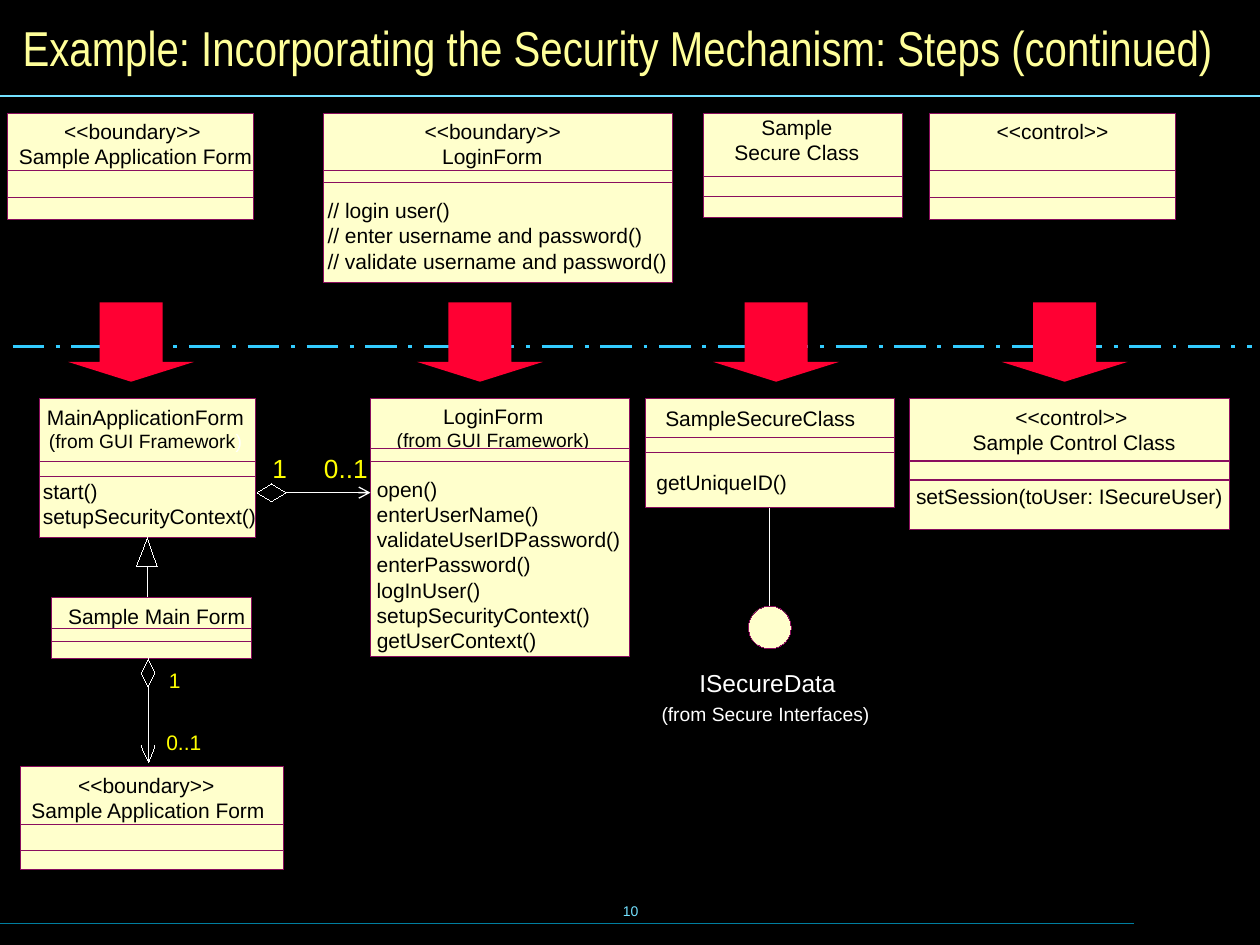
from lxml import etree
from pptx import Presentation
from pptx.dml.color import RGBColor
from pptx.enum.dml import MSO_LINE
from pptx.enum.shapes import MSO_CONNECTOR, MSO_SHAPE
from pptx.enum.text import MSO_ANCHOR, MSO_AUTO_SIZE, PP_ALIGN
from pptx.oxml.ns import qn
from pptx.util import Inches, Pt

STRAIGHT = MSO_CONNECTOR.STRAIGHT
RECT, OVAL, DOWN = MSO_SHAPE.RECTANGLE, MSO_SHAPE.OVAL, MSO_SHAPE.DOWN_ARROW
DASH = MSO_LINE.LONG_DASH_DOT
LEFT, CENTER = PP_ALIGN.LEFT, PP_ALIGN.CENTER
MIDDLE = MSO_ANCHOR.MIDDLE
FIT, FIXED = MSO_AUTO_SIZE.SHAPE_TO_FIT_TEXT, MSO_AUTO_SIZE.NONE

CREAM, PLUM, RED = "FFFFCC", "8A0E5E", "FF0033"
BLACK, WHITE, YELLOW = "000000", "FFFFFF", "FFFF00"
STEP, SLACK, HAIR = 0.2, 0.04, 0.01


def paint(target, color):
    if hasattr(target, "solid"):
        target.solid()
        target = target.fore_color
    else:
        target = target.color
    target.rgb = RGBColor.from_string(color)


def style(frame, size, color, align=LEFT, font="Arial"):
    for para in frame.paragraphs:
        para.alignment = align
        for run in para.runs:
            run.font.name = font
            run.font.size = Pt(size)
            paint(run.font, color)


def label(slide, x, y, w, text, size=12, color=BLACK, align=LEFT, h=STEP):
    left = x - SLACK / 2 if align == CENTER else x
    area = slide.shapes.add_textbox(
        Inches(left), Inches(y), Inches(w + SLACK), Inches(h))
    frame = area.text_frame
    frame.margin_left = frame.margin_right = 0
    frame.margin_top = frame.margin_bottom = 0
    frame.word_wrap = False
    frame.auto_size = FIT
    frame.text = text
    style(frame, size, color, align)
    return frame


def solid(slide, kind, x, y, w, h, fill=CREAM, edge=PLUM):
    shape = slide.shapes.add_shape(kind, Inches(x), Inches(y), Inches(w), Inches(h))
    shape.shadow.inherit = False
    paint(shape.fill, fill)
    if edge:
        paint(shape.line, edge)
        shape.line.width = Pt(HAIR)
    else:
        shape.line.fill.background()
    return shape


def line(slide, x1, y1, x2, y2, color=WHITE, width=0.75, dash=None, arrow=False):
    link = slide.shapes.add_connector(
        STRAIGHT, Inches(x1), Inches(y1), Inches(x2), Inches(y2))
    paint(link.line, color)
    link.line.width = Pt(width)
    if dash:
        link.line.dash_style = dash
    props = link._element.spPr
    if arrow:
        etree.SubElement(props.find(qn("a:ln")), qn("a:tailEnd"), type="arrow")
    etree.SubElement(props, qn("a:effectLst"))
    return link


def outline(slide, points, fill=None):
    spots = [(Inches(x), Inches(y)) for x, y in points]
    build = slide.shapes.build_freeform(*spots[0])
    build.add_line_segments(spots[1:], close=True)
    shape = build.convert_to_shape()
    shape.shadow.inherit = False
    if fill:
        paint(shape.fill, fill)
    else:
        shape.fill.background()
    paint(shape.line, WHITE)
    shape.line.width = Pt(HAIR)


def diamond(slide, x, y, w, h, fill=None):
    outline(slide, [(x, y + h / 2), (x + w / 2, y + h),
                    (x + w, y + h / 2), (x + w / 2, y)], fill)


def box(slide, x, y, w, h, heads, cuts=(), rows=(), start=(0, 0)):
    frame = solid(slide, RECT, x, y, w, h)
    titles = [label(slide, *head) for head in heads]
    for top, high in cuts:
        solid(slide, RECT, x, top, w, high)
    left, top = start
    for i, (wide, text) in enumerate(rows):
        label(slide, left, top + i * STEP, wide, text)
    return frame, titles


def draw_top(slide):
    box(slide, 0.06, 0.9, 1.95, 0.84,
        [(0.51, 0.94, 1.09, "<<boundary>>"),
         (0.15, 1.14, 1.86, "Sample Application Form")], [(1.35, 0.22)])
    box(slide, 2.57, 0.9, 2.77, 1.34,
        [(3.37, 0.94, 1.09, "<<boundary>>"), (3.51, 1.14, 0.8, "LoginForm")],
        [(1.35, 0.89), (1.45, 0.79)],
        [(0.97, "// login user()"), (2.5, "// enter username and password()"),
         (2.7, "// validate username and password()")], (2.6, 1.57))
    box(slide, 5.58, 0.9, 1.58, 0.83,
        [(5.83, 0.91, 0.99, "Sample\nSecure Class", 12, BLACK, CENTER, 0.4)],
        [(1.4, 0.33), (1.56, 0.17)])
    box(slide, 7.38, 0.9, 1.95, 0.84,
        [(7.91, 0.94, 0.89, "<<control>>")], [(1.35, 0.22)])


def draw_main(slide):
    _, (name,) = box(
        slide, 0.31, 3.16, 1.72, 1.11,
        [(0.37, 3.21, 1.57, "MainApplicationForm\n(from GUI Framework",
          12, BLACK, CENTER, 0.38)],
        [(3.66, 0.61), (3.78, 0.49)],
        [(0.44, "start()"), (1.7, "setupSecurityContext()")], (0.34, 3.8))
    para = name.paragraphs[1]
    end = para.add_run()
    end.text = ")"
    end.font.name = "Arial"
    paint(end.font, WHITE)
    for run in para.runs:
        run.font.size = Pt(11)

    _, (name,) = box(
        slide, 2.94, 3.16, 2.06, 2.04,
        [(3.15, 3.2, 1.53, "LoginForm\v(from GUI Framework)",
          12, BLACK, CENTER, 0.38)],
        [(3.56, 1.65), (3.66, 1.55)],
        [(0.48, "open()"), (1.29, "enterUserName()"),
         (1.94, "validateUserIDPassword()"), (1.22, "enterPassword()"),
         (0.83, "logInUser()"), (1.7, "setupSecurityContext()"),
         (1.27, "getUserContext()")], (2.99, 3.78))
    name.paragraphs[0].runs[1].font.size = Pt(11)

    secure, _ = box(slide, 5.12, 3.16, 1.98, 0.87,
                    [(5.28, 3.22, 1.51, "SampleSecureClass")],
                    [(3.47, 0.56), (3.59, 0.44)],
                    [(1.04, "getUniqueID()")], (5.21, 3.73))
    ball = solid(slide, OVAL, 5.94, 4.81, 0.34, 0.34)
    stem = line(slide, 6.11, 4.03, 6.11, 4.81)
    stem.begin_connect(secure, 2)
    stem.end_connect(ball, 0)
    label(slide, 5.55, 5.3, 1.08, "ISecureData", 14, WHITE, h=0.23)
    label(slide, 5.25, 5.57, 1.65, "(from Secure Interfaces)", 11, WHITE, h=0.18)

    box(slide, 7.22, 3.16, 2.54, 1.04,
        [(8.06, 3.21, 0.89, "<<control>>"),
         (7.72, 3.41, 1.61, "Sample Control Class")], (),
        [(2.44, "setSession(toUser: ISecureUser)")], (7.27, 3.84))
    for y in (3.66, 3.81):
        line(slide, 7.22, y, 9.76, y, PLUM)


def draw_links(slide):
    diamond(slide, 2.04, 3.84, 0.23, 0.14, BLACK)
    line(slide, 2.27, 3.91, 2.94, 3.91, arrow=True)
    label(slide, 2.16, 3.59, 0.12, "1", 15, YELLOW, CENTER, 0.25)
    label(slide, 2.57, 3.59, 0.35, "0..1", 15, YELLOW, CENTER, 0.25)

    outline(slide, [(1.17, 4.27), (1.25, 4.5), (1.08, 4.5)])
    line(slide, 1.17, 4.5, 1.17, 4.74)
    box(slide, 0.41, 4.74, 1.59, 0.49,
        [(0.54, 4.79, 1.41, "Sample Main Form")], [(4.99, 0.23), (5.09, 0.14)])

    diamond(slide, 1.12, 5.23, 0.11, 0.22)
    line(slide, 1.18, 5.45, 1.18, 6.05, width=HAIR)
    for x in (1.12, 1.23):
        line(slide, 1.18, 6.05, x, 5.92, width=HAIR)
    label(slide, 1.34, 5.3, 0.09, "1", color=YELLOW)
    label(slide, 1.32, 5.79, 0.28, "0..1", color=YELLOW)
    box(slide, 0.16, 6.08, 2.09, 0.82,
        [(0.62, 6.13, 1.09, "<<boundary>>"),
         (0.25, 6.33, 1.86, "Sample Application Form")], [(6.54, 0.21)])


def draw_title(slide):
    title = slide.shapes.title
    title.left, title.top = Inches(0.08), Inches(0.08)
    title.width, title.height = Inches(9.84), Inches(0.58)
    frame = title.text_frame
    frame.text = "Example: Incorporating the Security Mechanism: Steps (continued)"
    frame.vertical_anchor = MIDDLE
    frame.word_wrap = True
    frame.auto_size = FIXED
    style(frame, 28, "FFFF99", font="Arial Narrow")


def main():
    deck = Presentation()
    deck.slide_width, deck.slide_height = Inches(10), Inches(7.5)
    slide = deck.slides.add_slide(deck.slide_layouts[5])
    paint(slide.background.fill, BLACK)
    draw_title(slide)
    line(slide, 0, 0.76, 10, 0.76, "73E1FF", 1)
    line(slide, 0, 7.33, 9, 7.33, "007E9F", 1)
    page = label(slide, 3.42, 6.98, 3.17, "10", 8, "73E1FF", CENTER, 0.5)
    page.auto_size = FIXED
    page.vertical_anchor = MIDDLE
    draw_top(slide)
    line(slide, 0.1, 2.75, 9.94, 2.75, "33CCFF", 2.25, DASH)
    for x in (0.54, 3.31, 5.66, 7.95):
        arrow = solid(slide, DOWN, x, 2.4, 1, 0.63, RED, None)
        arrow.adjustments[0], arrow.adjustments[1] = 0.5, 0.25
    draw_main(slide)
    draw_links(slide)
    deck.save("out.pptx")


if __name__ == "__main__":
    main()
